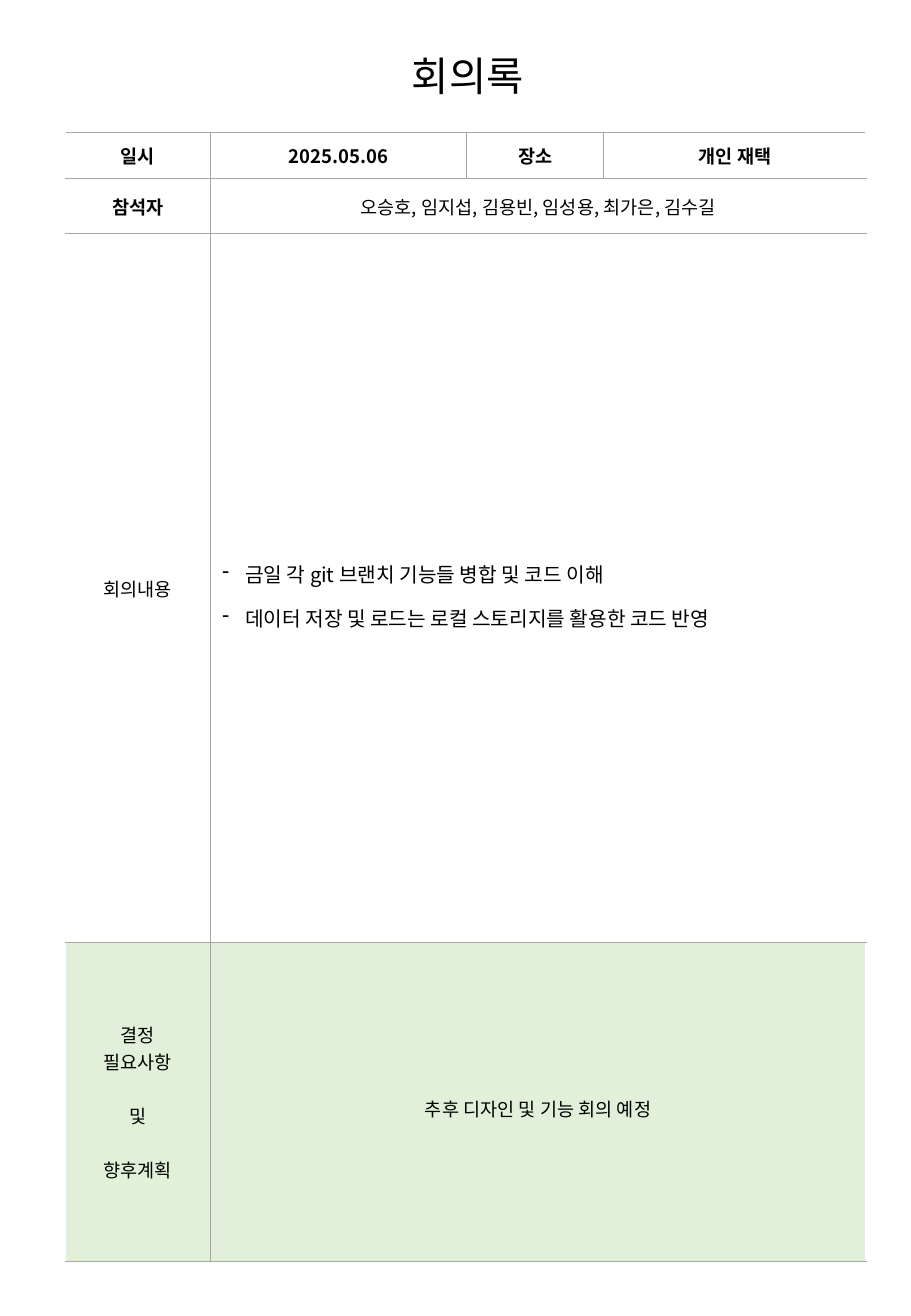
from dataclasses import dataclass

from lxml.etree import SubElement
from pptx import Presentation
from pptx.dml.color import RGBColor
from pptx.enum.text import MSO_ANCHOR as Anchor
from pptx.enum.text import MSO_AUTO_SIZE as AutoSize
from pptx.enum.text import PP_ALIGN as Align
from pptx.oxml import parse_xml
from pptx.oxml.ns import nsdecls, qn
from pptx.util import Pt

BLACK = RGBColor(0x00, 0x00, 0x00)
WHITE = RGBColor(0xFF, 0xFF, 0xFF)
GREY = RGBColor(0xA6, 0xA6, 0xA6)
GREEN = RGBColor(0xE2, 0xF0, 0xD9)
FONT = "Noto Sans CJK KR"
COLUMN_WIDTHS = (85.7, 152, 81.4, 155.5)
ROW_HEIGHTS = (27.4, 32.4, 420.5, 188.6)
THIN_RULES = (0, 3, 4)
BULLET_INDENT = Pt(13.5)


@dataclass(frozen=True)
class Entry:
    row: int
    column: int
    lines: tuple[str, ...]
    span: int = 1
    size: float = 11
    bold: bool = False
    bulleted: bool = False
    line_spacing: float = 1.0
    gap: float = 0
    fill: RGBColor = WHITE


ENTRIES = (
    Entry(0, 0, ("일시",), bold=True),
    Entry(0, 1, ("2025.05.06",), bold=True),
    Entry(0, 2, ("장소",), bold=True),
    Entry(0, 3, ("개인 재택",), bold=True),
    Entry(1, 0, ("참석자",), bold=True),
    Entry(1, 1, ("오승호, 임지섭, 김용빈, 임성용, 최가은, 김수길",), span=3),
    Entry(2, 0, ("회의내용",)),
    Entry(
        2,
        1,
        (
            "금일 각 git 브랜치 기능들 병합 및 코드 이해",
            "데이터 저장 및 로드는 로컬 스토리지를 활용한 코드 반영",
        ),
        span=3,
        size=12,
        bulleted=True,
        line_spacing=1.5,
    ),
    Entry(3, 0, ("결정\n필요사항", "및", "향후계획"), gap=16, fill=GREEN),
    Entry(3, 1, ("추후 디자인 및 기능 회의 예정",), span=3, line_spacing=1.5, fill=GREEN),
)


def set_font(paragraph, size: float, bold: bool = False) -> None:
    font = paragraph.font
    font.size = Pt(size)
    font.bold = bold
    font.name = FONT
    font.color.rgb = BLACK
    defaults = paragraph._p.get_or_add_pPr().find(qn("a:defRPr"))
    SubElement(defaults, qn("a:ea"), typeface=FONT)


def add_bullet(paragraph) -> None:
    properties = paragraph._p.get_or_add_pPr()
    properties.set("marL", str(BULLET_INDENT))
    properties.set("indent", str(-BULLET_INDENT))
    SubElement(properties, qn("a:buChar"), char="-")


def set_borders(cell, entry: Entry) -> None:
    at_left = entry.column == 0
    at_right = entry.column + entry.span == len(COLUMN_WIDTHS)
    borders = (
        ("lnL", WHITE if at_left else GREY, 1 if at_left else 0.75),
        ("lnR", WHITE if at_right else GREY, 1 if at_right else 0.75),
        ("lnT", GREY, 0.5 if entry.row in THIN_RULES else 0.75),
        ("lnB", GREY, 0.5 if entry.row + 1 in THIN_RULES else 0.75),
    )
    properties = cell._tc.get_or_add_tcPr()
    for position, (tag, color, width) in enumerate(borders):
        line = parse_xml(
            f'<a:{tag} {nsdecls("a")} w="{Pt(width)}"><a:solidFill>'
            f'<a:srgbClr val="{color}"/></a:solidFill></a:{tag}>'
        )
        properties.insert(position, line)


def fill_entry(table, entry: Entry) -> None:
    cell = table.cell(entry.row, entry.column)
    if entry.span > 1:
        cell.merge(table.cell(entry.row, entry.column + entry.span - 1))
    cell.fill.solid()
    cell.fill.fore_color.rgb = entry.fill
    cell.vertical_anchor = Anchor.MIDDLE
    set_borders(cell, entry)
    frame = cell.text_frame
    for index, text in enumerate(entry.lines):
        paragraph = frame.add_paragraph() if index else frame.paragraphs[0]
        paragraph.text = text
        paragraph.alignment = Align.LEFT if entry.bulleted else Align.CENTER
        paragraph.line_spacing = entry.line_spacing
        if index:
            paragraph.space_before = Pt(entry.gap)
        if entry.bulleted:
            add_bullet(paragraph)
        set_font(paragraph, entry.size, entry.bold)


def add_minutes_table(slide) -> None:
    table = slide.shapes.add_table(
        len(ROW_HEIGHTS),
        len(COLUMN_WIDTHS),
        Pt(38.9),
        Pt(78.5),
        Pt(sum(COLUMN_WIDTHS)),
        Pt(sum(ROW_HEIGHTS)),
    ).table
    table.first_row = False
    table.horz_banding = False
    for column, width in zip(table.columns, COLUMN_WIDTHS):
        column.width = Pt(width)
    for row, height in zip(table.rows, ROW_HEIGHTS):
        row.height = Pt(height)
    for entry in ENTRIES:
        fill_entry(table, entry)


def add_title(slide) -> None:
    title = slide.shapes.add_textbox(Pt(101.5), Pt(26.6), Pt(351.4), Pt(36))
    frame = title.text_frame
    frame.word_wrap = True
    frame.auto_size = AutoSize.SHAPE_TO_FIT_TEXT
    paragraph = frame.paragraphs[0]
    paragraph.text = "회의록"
    paragraph.alignment = Align.CENTER
    set_font(paragraph, 24)


def main() -> None:
    presentation = Presentation()
    presentation.slide_width = Pt(540)
    presentation.slide_height = Pt(780)
    slide = presentation.slides.add_slide(presentation.slide_layouts[6])
    add_minutes_table(slide)
    add_title(slide)
    presentation.save("out.pptx")


if __name__ == "__main__":
    main()
